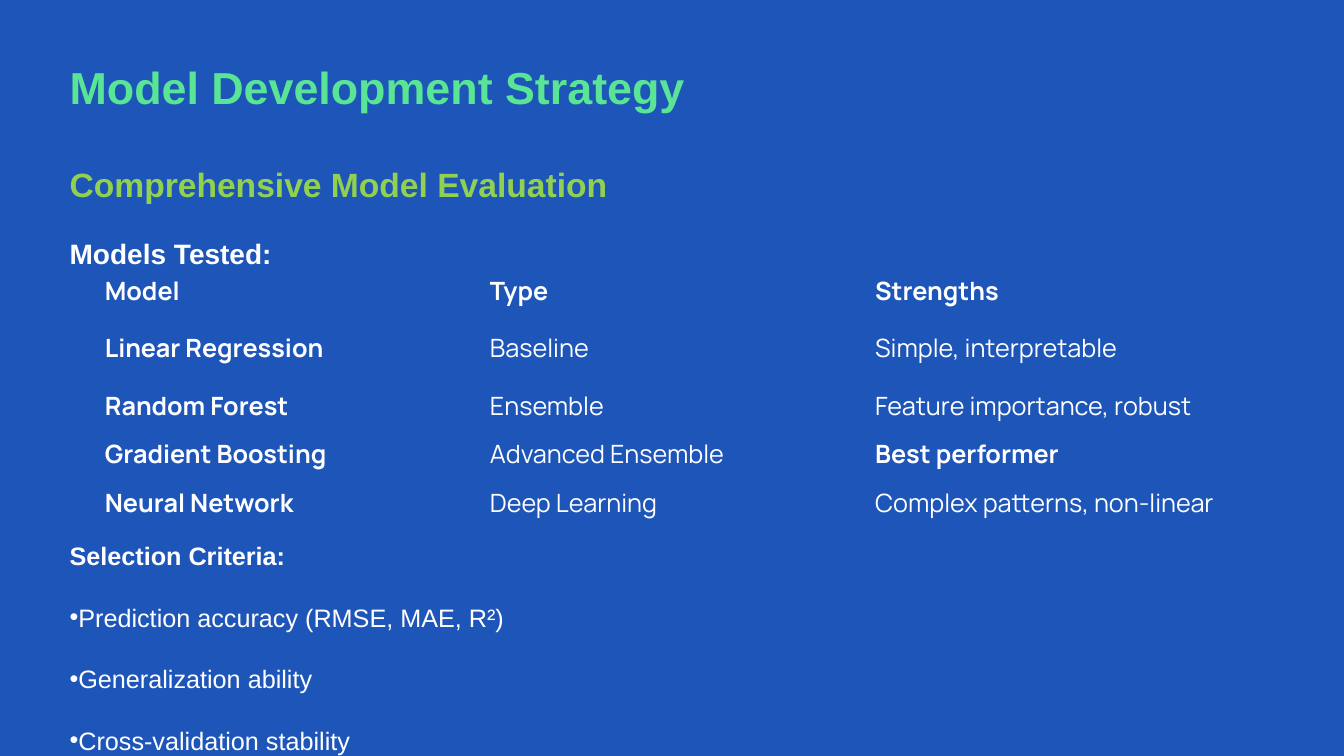
from lxml import etree
from pptx import Presentation
from pptx.dml.color import RGBColor
from pptx.enum import text as txt
from pptx.oxml import ns
from pptx.util import Inches, Pt

BLUE = RGBColor(0x1E, 0x55, 0xB8)
MINT = RGBColor(0x5A, 0xE4, 0x95)
LIME = RGBColor(0x92, 0xD0, 0x50)
WHITE = RGBColor(0xFF, 0xFF, 0xFF)
NO_GRID = "{2D5ABB26-0587-4C30-8999-92F81FD0307C}"


def style(paragraph, size, color, bold, font="Arial"):
    for run in paragraph.runs:
        run.font.name = font
        run.font.size = Pt(size)
        run.font.bold = bold
        run.font.color.rgb = color


def fill_placeholder(holder, top, height, lines):
    holder.left, holder.top = Inches(0.59), Inches(top)
    holder.width, holder.height = Inches(9.02), Inches(height)
    frame = holder.text_frame
    frame.text = "\n".join(line[0] for line in lines)
    frame.word_wrap = True
    frame.auto_size = txt.MSO_AUTO_SIZE.NONE
    frame.vertical_anchor = txt.MSO_ANCHOR.TOP
    for paragraph, (_, size, color, bold, before, bullet) in zip(frame.paragraphs, lines):
        paragraph.alignment = txt.PP_ALIGN.LEFT
        paragraph.space_before = Pt(before)
        style(paragraph, size, color, bold)
        properties = paragraph._p.get_or_add_pPr()
        properties.set("marL", "0")
        properties.set("indent", "0")
        if bullet:
            etree.SubElement(properties, ns.qn("a:buChar")).set("char", "•")
        else:
            etree.SubElement(properties, ns.qn("a:buNone"))


deck = Presentation()
deck.slide_width, deck.slide_height = Inches(13.33), Inches(7.5)
slide = deck.slides.add_slide(deck.slide_layouts[3])
slide.background.fill.solid()
slide.background.fill.fore_color.rgb = BLUE
title, evaluation, criteria = list(slide.placeholders)[:3]

fill_placeholder(title, 0.54, 0.62, [("Model Development Strategy", 32, MINT, True, 0, False)])
fill_placeholder(evaluation, 1.58, 1.1, [
    ("Comprehensive Model Evaluation", 24, LIME, True, 0, False),
    ("Models Tested:", 20, WHITE, True, 23, False),
])
measures = ["Prediction accuracy (RMSE, MAE, R²)", "Generalization ability",
            "Cross-validation stability"]
fill_placeholder(criteria, 5.31, 2.19, [
    ("Selection Criteria:", 18, WHITE, True, 0, False),
    *[(measure, 18, WHITE, False, 22.4, True) for measure in measures],
])

models = [
    ("Model", "Type", "Strengths"),
    ("Linear Regression", "Baseline", "Simple, interpretable"),
    ("Random Forest", "Ensemble", "Feature importance, robust"),
    ("Gradient Boosting", "Advanced Ensemble", "Best performer"),
    ("Neural Network", "Deep Learning", "Complex patterns, non-linear"),
]
row_heights = [0.44, 0.7, 0.44, 0.52, 0.44]
comparison = slide.shapes.add_table(
    len(models), 3, Inches(0.94), Inches(2.66), Inches(11.45), Inches(sum(row_heights))).table
comparison.horz_banding = False
comparison._tbl.tblPr.find(ns.qn("a:tableStyleId")).text = NO_GRID
for column in comparison.columns:
    column.width = Inches(3.82)
for r, (model, height) in enumerate(zip(models, row_heights)):
    comparison.rows[r].height = Inches(height)
    for c, entry in enumerate(model):
        cell = comparison.cell(r, c)
        cell.text_frame.text = entry
        cell.vertical_anchor = txt.MSO_ANCHOR.MIDDLE
        cell.fill.background()
        bold = r == 0 or c == 0 or entry == "Best performer"
        style(cell.text_frame.paragraphs[0], 18, WHITE, bold, "Manrope")

for holder in list(slide.placeholders)[3:]:
    holder._element.getparent().remove(holder._element)

deck.save("out.pptx")
